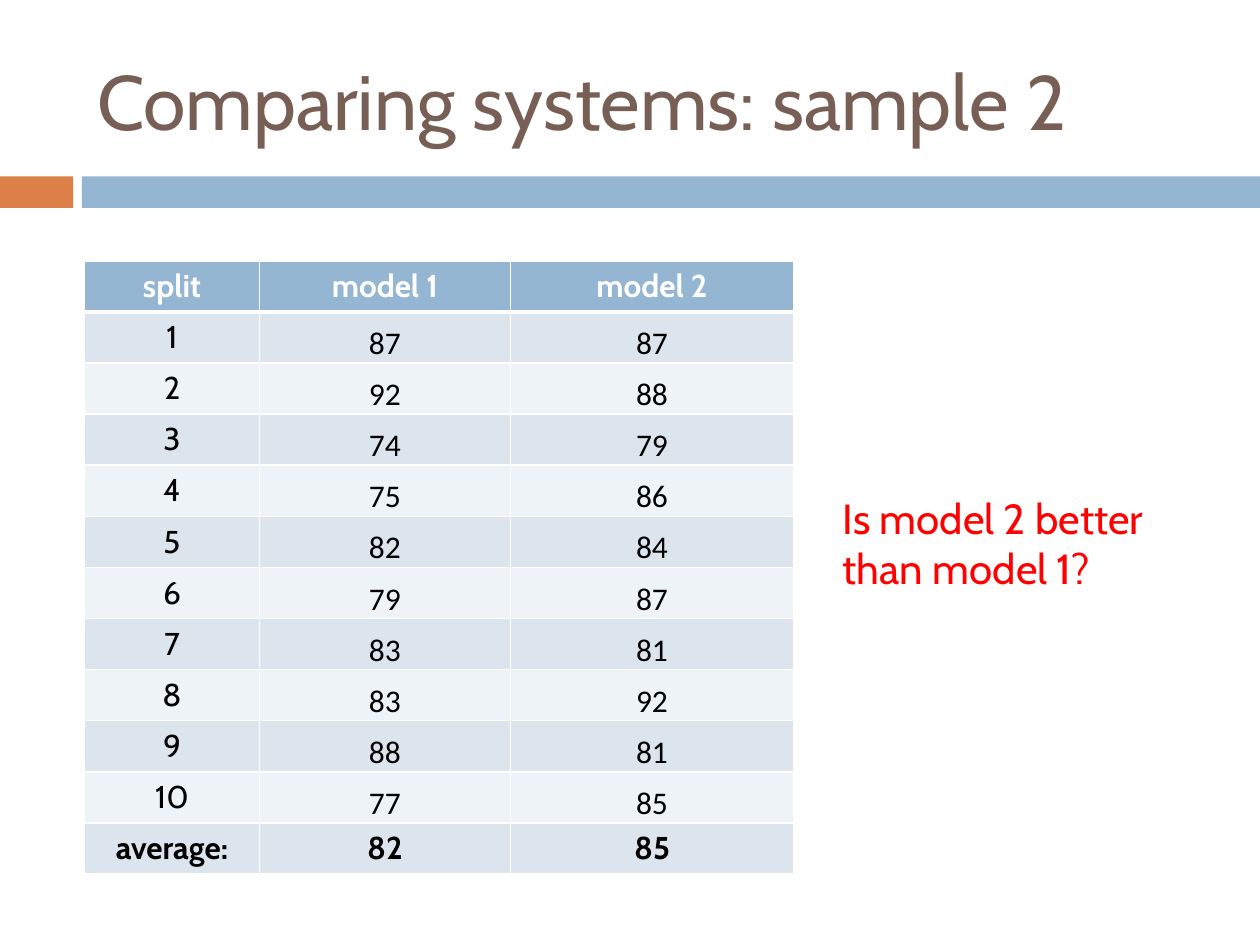
import lxml.etree
import pptx
import pptx.dml.color
import pptx.enum.shapes
import pptx.enum.text
import pptx.oxml.ns
import pptx.util

Inches = pptx.util.Inches
Pt = pptx.util.Pt
RGBColor = pptx.dml.color.RGBColor
Align = pptx.enum.text.PP_ALIGN
Anchor = pptx.enum.text.MSO_ANCHOR
qn = pptx.oxml.ns.qn

WHITE = RGBColor(0xFF, 0xFF, 0xFF)
BLACK = RGBColor(0x00, 0x00, 0x00)
RED = RGBColor(0xFF, 0x00, 0x00)
BROWN = RGBColor(0x77, 0x5F, 0x55)
ORANGE = RGBColor(0xDD, 0x80, 0x47)
BLUE = RGBColor(0x94, 0xB6, 0xD2)
BAND_DARK = RGBColor(0xDC, 0xE5, 0xEE)
BAND_LIGHT = RGBColor(0xEE, 0xF3, 0xF7)


class SlideBuilder:
    """Holds the style and the current slide."""

    font = "Cabin"
    number_font = "Calibri"

    def __init__(self, deck):
        self.slide = deck.slides.add_slide(deck.slide_layouts[5])

    def add_text(self, frame, text, size, color, font=None, bold=False, align=Align.LEFT):
        para = frame.paragraphs[0]
        para.alignment = align
        span = para.add_run()
        span.text = text
        span.font.name = font or self.font
        span.font.size = Pt(size)
        span.font.bold = bold
        span.font.color.rgb = color

    def bar(self, left, top, width, height, color):
        box = self.slide.shapes.add_shape(
            pptx.enum.shapes.MSO_SHAPE.RECTANGLE,
            Inches(left), Inches(top), Inches(width), Inches(height))
        box.shadow.inherit = False
        box.fill.solid()
        box.fill.fore_color.rgb = color
        box.line.fill.background()

    def title(self, text, left, top, width, height):
        box = self.slide.shapes.title
        box.left, box.top = Inches(left), Inches(top)
        box.width, box.height = Inches(width), Inches(height)
        box.text_frame.vertical_anchor = Anchor.MIDDLE
        self.add_text(box.text_frame, text, 44, BROWN)

    def note(self, text, left, top, width, height):
        box = self.slide.shapes.add_textbox(
            Inches(left), Inches(top), Inches(width), Inches(height))
        box.text_frame.word_wrap = True
        self.add_text(box.text_frame, text, 24, RED)

    def borders(self, cell, bottom):
        properties = cell._tc.get_or_add_tcPr()
        for side, points in (("lnL", 1), ("lnR", 1), ("lnT", 1), ("lnB", bottom)):
            line = lxml.etree.SubElement(properties, qn("a:" + side), w=str(Pt(points)))
            fill = lxml.etree.SubElement(line, qn("a:solidFill"))
            lxml.etree.SubElement(fill, qn("a:srgbClr"), val=str(WHITE))

    def table(self, rows, left, top, widths, row_height):
        table = self.slide.shapes.add_table(
            len(rows), len(widths), Inches(left), Inches(top),
            Inches(sum(widths)), Inches(row_height * len(rows))).table
        for column, width in zip(table.columns, widths):
            column.width = Inches(width)
        last = len(rows) - 1
        for i, values in enumerate(rows):
            header = i == 0
            edge = i in (0, last)
            band = BLUE if header else BAND_DARK if i % 2 else BAND_LIGHT
            for j, value in enumerate(values):
                cell = table.cell(i, j)
                self.borders(cell, 3 if header else 1)
                cell.fill.solid()
                cell.fill.fore_color.rgb = band
                score = j > 0 and not edge
                if score:
                    cell.vertical_anchor = Anchor.BOTTOM
                    cell.margin_left = cell.margin_right = cell.margin_top = Inches(0.01)
                    cell.margin_bottom = 0
                self.add_text(cell.text_frame, str(value), 18,
                              WHITE if header else BLACK,
                              self.number_font if score else self.font,
                              edge, Align.CENTER)


deck = pptx.Presentation()
deck.slide_width, deck.slide_height = Inches(10), Inches(7.5)
page = SlideBuilder(deck)

# Title and divider
page.bar(0, 1.4, 0.58, 0.25, ORANGE)
page.bar(0.65, 1.4, 9.35, 0.25, BLUE)
page.title("Comparing systems: sample 2", 0.67, 0.25, 8.92, 1.08)

# Scores per split
model_1 = [87, 92, 74, 75, 82, 79, 83, 83, 88, 77]
model_2 = [87, 88, 79, 86, 84, 87, 81, 92, 81, 85]
rows = [("split", "model 1", "model 2"),
        *zip(range(1, 11), model_1, model_2),
        ("average:", 82, 85)]
page.table(rows, 0.67, 2.07, [1.39, 1.99, 2.25], 0.4)

# Question
page.note("Is model 2 better than model 1?", 6.59, 3.86, 2.99, 0.91)

deck.save("out.pptx")
